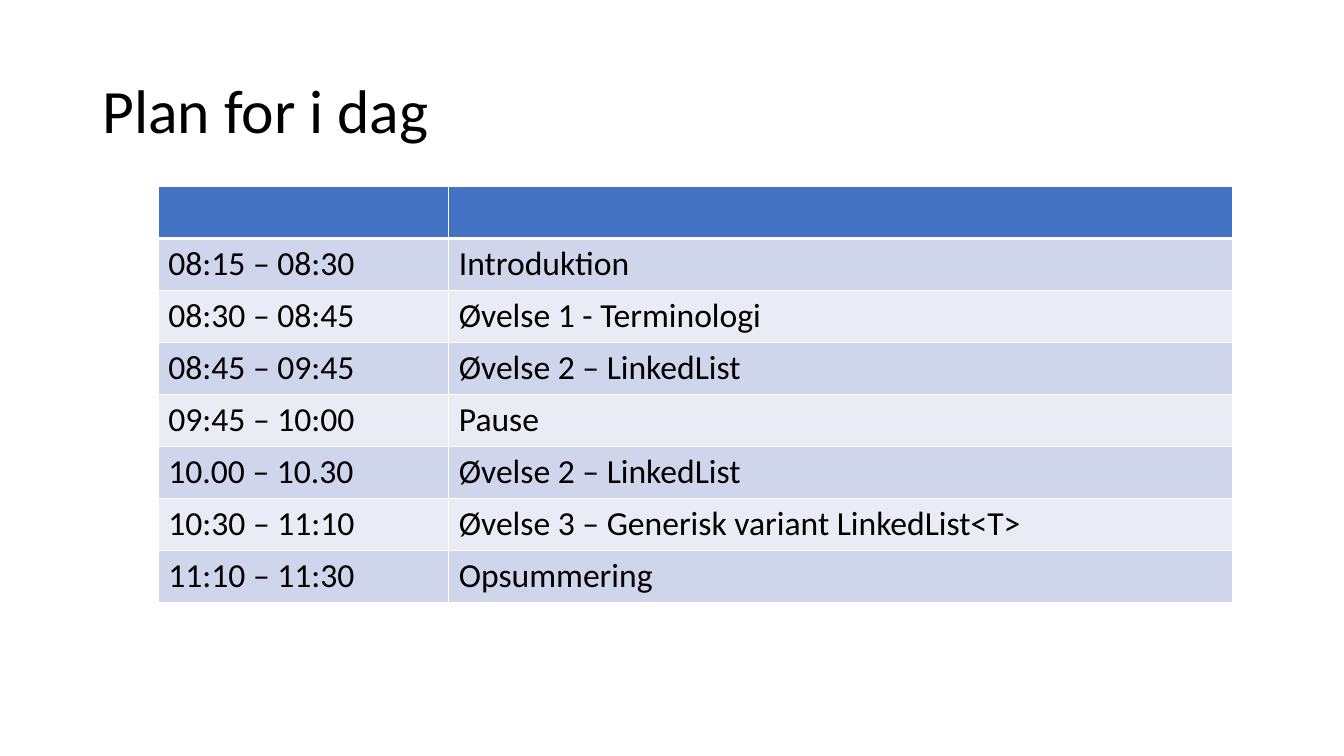
from lxml import etree
from pptx import Presentation
from pptx.dml.color import RGBColor
from pptx.enum.text import MSO_ANCHOR, PP_ALIGN
from pptx.oxml.ns import qn
from pptx.util import Cm, Pt

LEFT = PP_ALIGN.LEFT
MIDDLE = MSO_ANCHOR.MIDDLE
FONT = "Calibri"
BLACK, WHITE = "000000", "FFFFFF"
HEADER_BLUE = "4472C4"
BANDS = ["CFD5EA", "E9EBF5"]

PLAN = [
    ("", ""),
    ("08:15 – 08:30", "Introduktion"),
    ("08:30 – 08:45", "Øvelse 1 - Terminologi"),
    ("08:45 – 09:45", "Øvelse 2 – LinkedList"),
    ("09:45 – 10:00", "Pause"),
    ("10.00 – 10.30", "Øvelse 2 – LinkedList"),
    ("10:30 – 11:10", "Øvelse 3 – Generisk variant LinkedList<T>"),
    ("11:10 – 11:30", "Opsummering"),
]
COLUMN_WIDTHS = [7.32, 19.76]
ROW_HEIGHT = 1.31


def color(hex_code):
    return RGBColor.from_string(hex_code)


def write(paragraph, text, size):
    run = paragraph.add_run()
    run.text = text
    run.font.name = FONT
    run.font.size = Pt(size)
    run.font.bold = False
    run.font.color.rgb = color(BLACK)


prs = Presentation()
prs.slide_width, prs.slide_height = Cm(33.87), Cm(19.05)
slide = prs.slides.add_slide(prs.slide_layouts[5])

# Title
heading = slide.shapes.title
heading.left, heading.top = Cm(2.33), Cm(1.01)
heading.width, heading.height = Cm(29.21), Cm(3.68)
heading.text_frame.vertical_anchor = MIDDLE
heading_line = heading.text_frame.paragraphs[0]
heading_line.alignment = LEFT
heading_line.line_spacing = 0.9
write(heading_line, "Plan for i dag", 44)

# Schedule table
schedule = slide.shapes.add_table(
    len(PLAN), len(COLUMN_WIDTHS), Cm(3.99), Cm(4.7),
    Cm(sum(COLUMN_WIDTHS)), Cm(ROW_HEIGHT * len(PLAN))).table
for column, width in zip(schedule.columns, COLUMN_WIDTHS):
    column.width = Cm(width)

for row, entries in enumerate(PLAN):
    schedule.rows[row].height = Cm(ROW_HEIGHT)
    for col, entry in enumerate(entries):
        cell = schedule.cell(row, col)
        if entry:
            write(cell.text_frame.paragraphs[0], entry, 24)

        # White borders, with a heavier line below the header
        properties = cell._tc.get_or_add_tcPr()
        for side in ("L", "R", "T", "B"):
            below_header = (row, side) in [(0, "B"), (1, "T")]
            border = etree.SubElement(properties, qn(f"a:ln{side}"),
                                      w=str(Pt(3 if below_header else 1)))
            line_fill = etree.SubElement(border, qn("a:solidFill"))
            etree.SubElement(line_fill, qn("a:srgbClr"), val=WHITE)

        # Header colour, then alternating bands
        cell.fill.solid()
        cell.fill.fore_color.rgb = color(
            HEADER_BLUE if row == 0 else BANDS[(row - 1) % 2])

prs.save("out.pptx")
